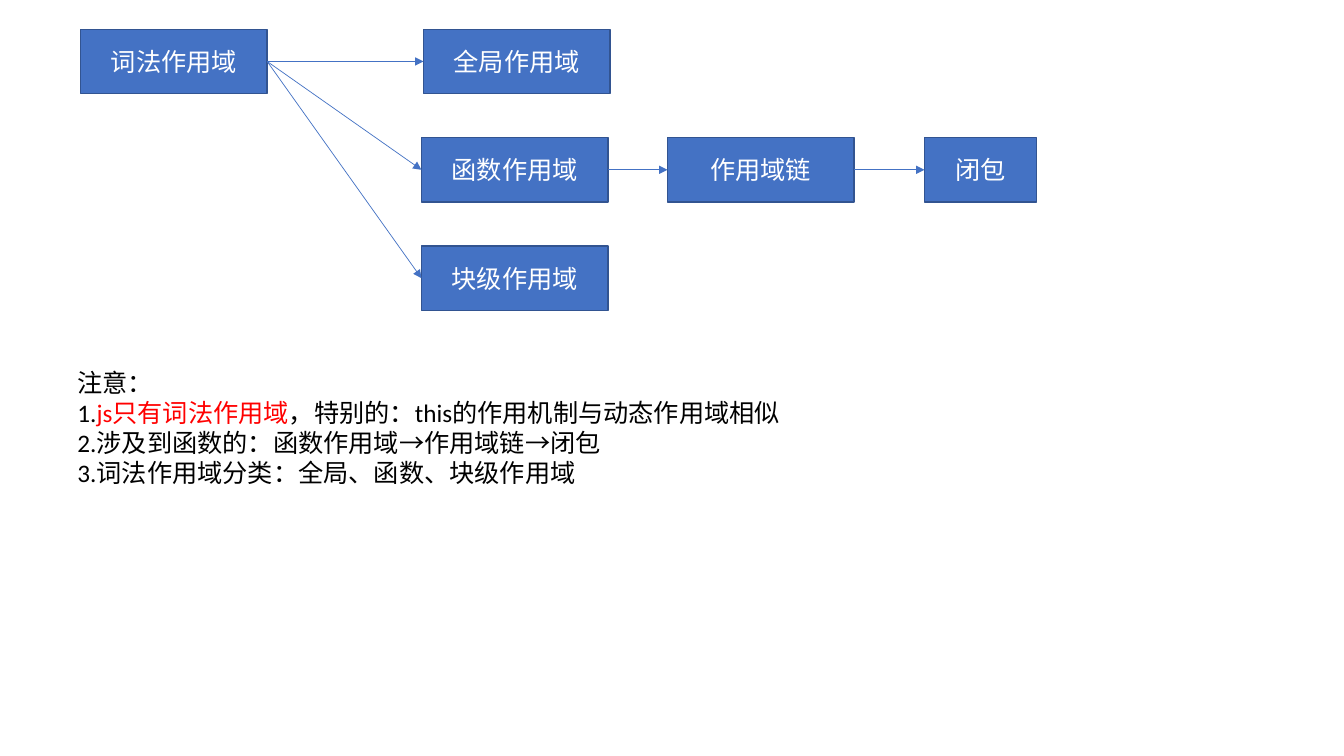
"""Build the slide on lexical scope, its kinds and the path to closures."""
import pptx
import pptx.dml.color
import pptx.enum.shapes
import pptx.enum.text
import pptx.oxml
import pptx.oxml.ns
import pptx.util
from pptx.util import Inches

RGBColor = pptx.dml.color.RGBColor
BLUE = RGBColor(0x44, 0x72, 0xC4)
DARK_BLUE = RGBColor(0x32, 0x54, 0x91)
WHITE = RGBColor(0xFF, 0xFF, 0xFF)
BLACK = RGBColor(0, 0, 0)
RED = RGBColor(0xFF, 0, 0)
FONT = "Calibri"
TOP, ROW_STEP, BOX_HEIGHT = 0.29, 1.075, 0.64
RIGHT_SIDE, LEFT_SIDE = 3, 1

# label: (left, row, width)
SCOPES = {
    "词法作用域": (0.8, 0, 1.85),
    "全局作用域": (4.2, 0, 1.85),
    "函数作用域": (4.18, 1, 1.85),
    "块级作用域": (4.18, 2, 1.85),
    "作用域链": (6.62, 1, 1.85),
    "闭包": (9.17, 1, 1.11),
}
ARROWS = [
    ("词法作用域", "函数作用域"),
    ("词法作用域", "块级作用域"),
    ("词法作用域", "全局作用域"),
    ("函数作用域", "作用域链"),
    ("作用域链", "闭包"),
]
NOTES = [
    [("注意：", BLACK)],
    [("1.", BLACK), ("js只有词法作用域", RED),
     ("，特别的：this的作用机制与动态作用域相似", BLACK)],
    [("2.涉及到函数的：函数作用域→作用域链→闭包", BLACK)],
    [("3.词法作用域分类：全局、函数、块级作用域", BLACK)],
]


def style_run(run, color):
    """Apply the common font in the given colour."""
    run.font.name = FONT
    run.font.size = pptx.util.Pt(18)
    run.font.color.rgb = color


def add_scope(slide, label, left, row, width):
    """Draw one labelled scope box."""
    scope = slide.shapes.add_shape(
        pptx.enum.shapes.MSO_SHAPE.RECTANGLE, Inches(left),
        Inches(TOP + row * ROW_STEP), Inches(width), Inches(BOX_HEIGHT))
    scope.shadow.inherit = False
    scope.fill.solid()
    scope.fill.fore_color.rgb = BLUE
    scope.line.color.rgb = DARK_BLUE
    scope.line.width = pptx.util.Pt(1)
    scope.text_frame.text = label
    scope.text_frame.vertical_anchor = pptx.enum.text.MSO_ANCHOR.MIDDLE
    line = scope.text_frame.paragraphs[0]
    line.alignment = pptx.enum.text.PP_ALIGN.CENTER
    style_run(line.runs[0], WHITE)
    return scope


def add_arrow(slide, source, target):
    """Join the right side of one scope to the left side of another."""
    arrow = slide.shapes.add_connector(
        pptx.enum.shapes.MSO_CONNECTOR.STRAIGHT, 0, 0, 0, 0)
    arrow.begin_connect(source, RIGHT_SIDE)
    arrow.end_connect(target, LEFT_SIDE)
    arrow.line.color.rgb = BLUE
    arrow.line.width = pptx.util.Pt(0.5)
    namespace = pptx.oxml.ns.nsdecls("a")
    arrow.line._get_or_add_ln().append(
        pptx.oxml.parse_xml(f'<a:tailEnd {namespace} type="triangle"/>'))
    arrow._element.spPr.append(pptx.oxml.parse_xml(f"<a:effectLst {namespace}/>"))


def add_notes(slide):
    """Write the remarks below the diagram."""
    remarks = slide.shapes.add_textbox(
        Inches(0.67), Inches(3.59), Inches(9.61), Inches(1.31)).text_frame
    remarks.word_wrap = True
    remarks.auto_size = pptx.enum.text.MSO_AUTO_SIZE.SHAPE_TO_FIT_TEXT
    for index, pieces in enumerate(NOTES):
        remark = remarks.add_paragraph() if index else remarks.paragraphs[0]
        for words, color in pieces:
            run = remark.add_run()
            run.text = words
            style_run(run, color)


def main():
    """Assemble and save the presentation."""
    deck = pptx.Presentation()
    deck.slide_width, deck.slide_height = Inches(13.33), Inches(7.5)
    slide = deck.slides.add_slide(deck.slide_layouts[6])
    scopes = {label: add_scope(slide, label, *place)
              for label, place in SCOPES.items()}
    for source, target in ARROWS:
        add_arrow(slide, scopes[source], scopes[target])
    add_notes(slide)
    deck.save("out.pptx")


if __name__ == "__main__":
    main()
